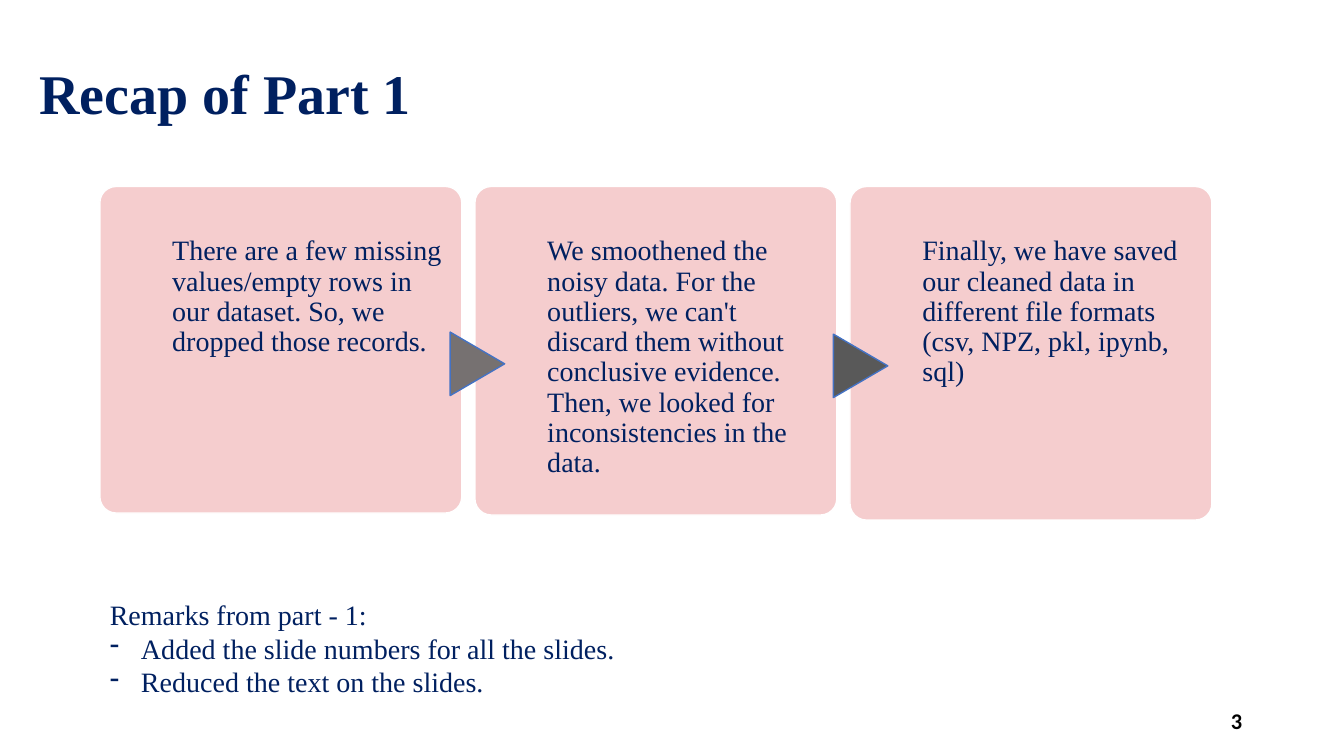
import pptx
import pptx.dml.color
import pptx.enum.shapes
import pptx.enum.text
import pptx.util
import lxml.etree
import pptx.oxml.ns

PX = 9144
FONT = "Times New Roman"
NAVY = "002060"
LEFT = pptx.enum.text.PP_ALIGN.LEFT
RIGHT = pptx.enum.text.PP_ALIGN.RIGHT
MIDDLE = pptx.enum.text.MSO_ANCHOR.MIDDLE
TOP = pptx.enum.text.MSO_ANCHOR.TOP
SHAPES = pptx.enum.shapes.MSO_SHAPE

CARDS = [
    ("There are a few missing values/empty rows in our dataset. So, we dropped those records.", 324),
    ("We smoothened the noisy data. For the outliers, we can't discard them without "
     "conclusive evidence. Then, we looked for inconsistencies in the data.", 326),
    ("Finally, we have saved our cleaned data in different file formats "
     "(csv, NPZ, pkl, ipynb, sql)", 331),
]
ARROWS = [(442, 334, "767171"), (822, 336, "595959")]
REMARKS = ["Added the slide numbers for all the slides.", "Reduced the text on the slides."]


def color(code):
    """Turn a hex string into a colour."""
    return pptx.dml.color.RGBColor.from_string(code)


def emu(*lengths):
    """Turn px lengths into EMU."""
    return [pptx.util.Emu(length * PX) for length in lengths]


def format_text(frame, size, font=FONT, code=NAVY, bold=False, align=LEFT, anchor=TOP, spacing=None):
    """Format every paragraph and run of a text frame."""
    frame.word_wrap = True
    frame.auto_size = pptx.enum.text.MSO_AUTO_SIZE.NONE
    frame.vertical_anchor = anchor
    for para in frame.paragraphs:
        para.alignment = align
        para.line_spacing = spacing
        for span in para.runs:
            span.font.name = font
            span.font.size = pptx.util.Pt(size)
            span.font.bold = bold
            span.font.color.rgb = color(code)


def add_filled(page, kind, box, fill, line):
    """Add a preset shape with a plain fill and a thin line."""
    shape = page.shapes.add_shape(kind, *emu(*box))
    shape.shadow.inherit = False
    shape.fill.solid()
    shape.fill.fore_color.rgb = color(fill)
    shape.line.color.rgb = color(line)
    shape.line.width = pptx.util.Pt(1)
    return shape


def add_title(page, box):
    """Place and format the slide title."""
    title = page.shapes.title
    title.left, title.top, title.width, title.height = emu(*box)
    title.text_frame.text = "Recap of Part 1"
    format_text(title.text_frame, 40, bold=True, anchor=MIDDLE, spacing=0.9)


def add_steps(page, box):
    """Place the row of cards and the arrows between them."""
    left, top, width, gap = box
    for index, (text, height) in enumerate(CARDS):
        place = (left + index * (width + gap), top, width, height)
        card = add_filled(page, SHAPES.ROUNDED_RECTANGLE, place, "F5CDCE", "FFFFFF")
        card.adjustments[0] = 0.05
        frame = card.text_frame
        frame.margin_left, frame.margin_top, frame.margin_right, frame.margin_bottom = emu(67, 45, 14, 0)
        frame.text = text
        format_text(frame, 20, spacing=0.9)
    for arrow_left, arrow_top, fill in ARROWS:
        place = (arrow_left, arrow_top, 63, 54)
        arrow = add_filled(page, SHAPES.FLOWCHART_EXTRACT, place, fill, "4472C4")
        arrow.rotation = 90


def add_remarks(page, box):
    """Place the remarks with their dashed list."""
    frame = page.shapes.add_textbox(*emu(*box)).text_frame
    frame.text = "\n".join(["Remarks from part - 1:"] + REMARKS)
    format_text(frame, 20)
    for para in frame.paragraphs[1:]:
        properties = para._p.get_or_add_pPr()
        indent, = emu(31)
        properties.set("marL", str(indent))
        properties.set("indent", str(-indent))
        bullet = lxml.etree.SubElement(properties, pptx.oxml.ns.qn("a:buChar"))
        bullet.set("char", "-")


def add_page_number(page, box):
    """Place the slide number."""
    frame = page.shapes.add_textbox(*emu(*box)).text_frame
    frame.text = "3"
    format_text(frame, 16, "Calibri", "000000", True, RIGHT, MIDDLE)


def main():
    """Build and save the deck."""
    deck = pptx.Presentation()
    deck.slide_width, deck.slide_height = emu(1333, 750)
    page = deck.slides.add_slide(deck.slide_layouts[5])
    add_title(page, (29, 23, 1150, 145))
    add_page_number(page, (942, 695, 300, 40))
    add_steps(page, (99, 185, 359, 13))
    add_remarks(page, (99, 588, 1018, 111))
    deck.save("out.pptx")


if __name__ == "__main__":
    main()
